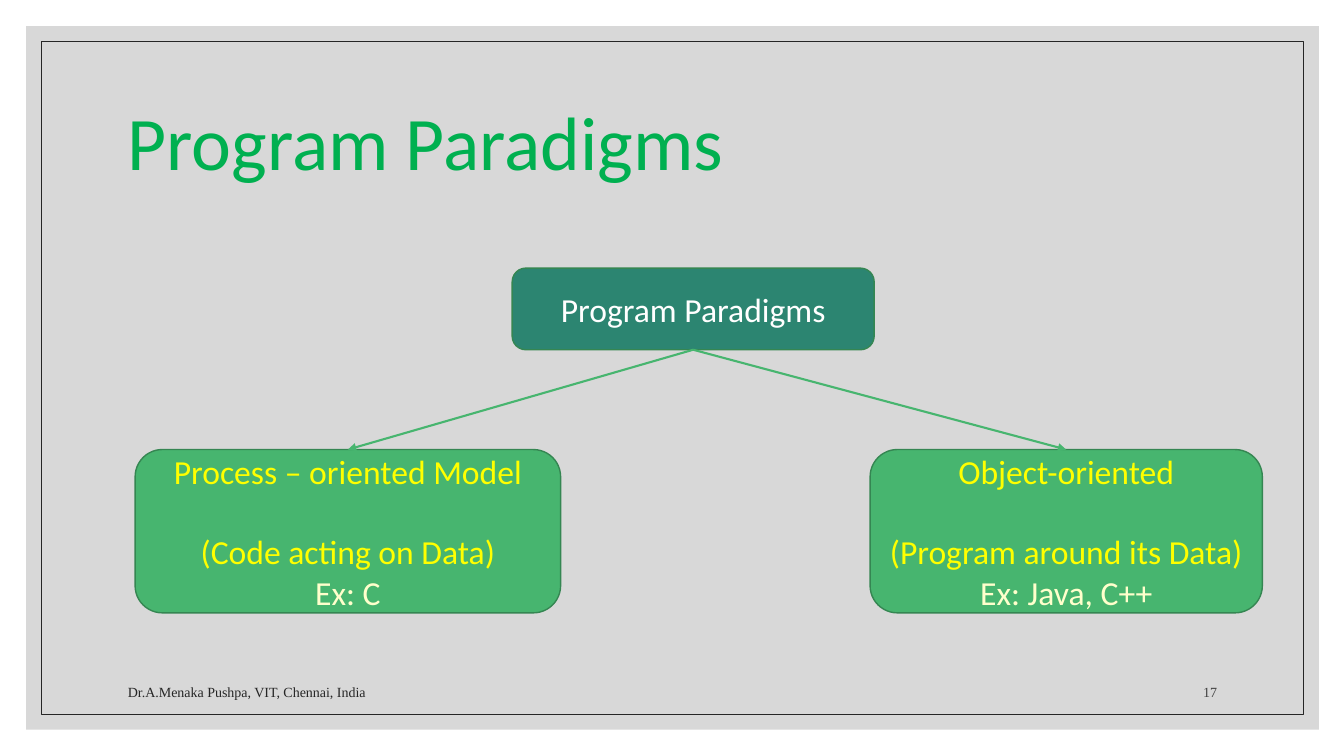
from dataclasses import dataclass

from lxml import etree
from pptx import Presentation
from pptx.dml.color import RGBColor
from pptx.enum.shapes import MSO_CONNECTOR, MSO_SHAPE
from pptx.enum.text import MSO_ANCHOR, PP_ALIGN
from pptx.oxml.ns import qn
from pptx.util import Inches, Pt

RECT, ROUNDED = MSO_SHAPE.RECTANGLE, MSO_SHAPE.ROUNDED_RECTANGLE
STRAIGHT = MSO_CONNECTOR.STRAIGHT
MIDDLE, BOTTOM = MSO_ANCHOR.MIDDLE, MSO_ANCHOR.BOTTOM
LEFT, CENTER, RIGHT = PP_ALIGN.LEFT, PP_ALIGN.CENTER, PP_ALIGN.RIGHT
BOTTOM_SITE, TOP_SITE = 2, 0


@dataclass(frozen=True)
class Theme:
    body_font: str = "Calibri"
    footer_font: str = "Times New Roman"
    title_size: int = 54
    node_size: int = 24
    footer_size: int = 10
    panel: str = "BFBFBF"
    dark: str = "262626"
    page_number: str = "404040"
    title: str = "00B050"
    root: str = "2C8571"
    model: str = "47B56F"
    outline: str = "358652"
    white: str = "FFFFFF"
    yellow: str = "FFFF00"
    cream: str = "FFFFCC"


theme = Theme()

prs = Presentation()
prs.slide_width, prs.slide_height = Inches(13.33), Inches(7.5)
slide = prs.slides.add_slide(prs.slide_layouts[6])
shapes = slide.shapes


def add_box(kind, bounds, fill=None, line=None, width=1):
    box = shapes.add_shape(kind, *map(Inches, bounds))
    box.shadow.inherit = False
    if fill:
        box.fill.solid()
        box.fill.fore_color.rgb = RGBColor.from_string(fill)
    else:
        box.fill.background()
    if line:
        box.line.color.rgb = RGBColor.from_string(line)
        box.line.width = Pt(width)
    else:
        box.line.fill.background()
    return box


def write(box, lines, font, size, align, anchor):
    """Fill a box with (text, colour, space before) lines."""
    frame = box.text_frame
    frame.word_wrap = True
    frame.vertical_anchor = anchor
    for i, (text, color, gap) in enumerate(lines):
        paragraph = frame.paragraphs[0] if i == 0 else frame.add_paragraph()
        paragraph.text = text
        paragraph.alignment = align
        if gap:
            paragraph.space_before = Pt(gap)
        paragraph.font.name = font
        paragraph.font.size = Pt(size)
        paragraph.font.color.rgb = RGBColor.from_string(color)


# Background panel and inner frame
panel = add_box(RECT, (0.26, 0.26, 12.82, 6.98), fill=theme.panel)
panel_color = panel.fill._xPr.find(qn("a:solidFill"))[0]
etree.SubElement(panel_color, qn("a:alpha"), val="60000")
add_box(RECT, (0.41, 0.41, 12.52, 6.68), line=theme.dark, width=0.5)

# Title
title = shapes.add_textbox(*map(Inches, (1.17, 0.7, 11, 1.5)))
write(title, [("Program Paradigms", theme.title, 0)],
      theme.body_font, theme.title_size, LEFT, MIDDLE)
title.text_frame.paragraphs[0].line_spacing = 0.9

# Footer and page number
for text, left, width, color, align in [
    ("Dr.A.Menaka Pushpa, VIT, Chennai, India", 1.17, 6.36, theme.dark, LEFT),
    ("17", 11.25, 0.92, theme.page_number, RIGHT),
]:
    footer = shapes.add_textbox(*map(Inches, (left, 6.6, width, 0.4)))
    write(footer, [(text, color, 0)],
          theme.footer_font, theme.footer_size, align, BOTTOM)

# Root of the tree
root = add_box(ROUNDED, (5.08, 2.66, 3.59, 0.81), theme.root, theme.outline)
write(root, [("Program Paradigms", theme.white, 0)],
      theme.body_font, theme.node_size, CENTER, MIDDLE)

# The two models, each joined to the root by an arrow
for left, width, name, idea, example in [
    (1.34, 4.22, "Process – oriented Model", "(Code acting on Data)", "Ex: C"),
    (8.63, 3.89, "Object-oriented", "(Program around its Data)", "Ex: Java, C++"),
]:
    model = add_box(ROUNDED, (left, 4.46, width, 1.62), theme.model, theme.outline)
    write(model,
          [(name, theme.yellow, 0), (idea, theme.yellow, 29), (example, theme.cream, 0)],
          theme.body_font, theme.node_size, CENTER, MIDDLE)

    arrow = shapes.add_connector(STRAIGHT, 0, 0, 0, 0)
    arrow.begin_connect(root, BOTTOM_SITE)
    arrow.end_connect(model, TOP_SITE)
    arrow.line.color.rgb = RGBColor.from_string(theme.model)
    arrow.line.width = Pt(1.5)
    etree.SubElement(arrow.line._get_or_add_ln(), qn("a:tailEnd"), type="triangle")
    etree.SubElement(arrow._element.spPr, qn("a:effectLst"))

prs.save("out.pptx")
